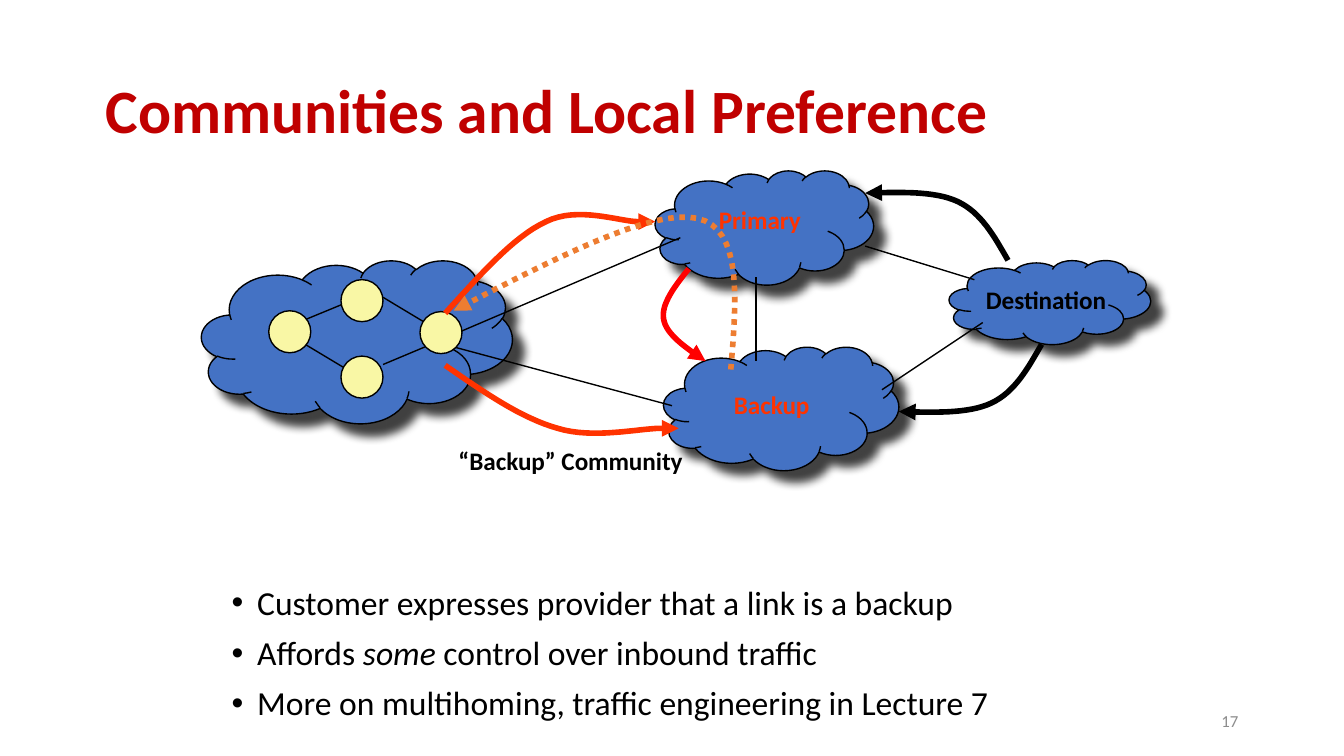
from lxml import etree
from pptx import Presentation, util as u
from pptx.dml.color import RGBColor
from pptx.enum import dml, shapes, text
from pptx.oxml import parse_xml
from pptx.oxml.ns import nsdecls, qn

prs = Presentation()
prs.slide_width, prs.slide_height = u.Inches(10), u.Inches(5.625)
COL, ROW = prs.slide_width / 160, prs.slide_height / 90
s = prs.slides.add_slide(prs.slide_layouts[6])


def grid(*cells):
    return [round(c * (ROW if i % 2 else COL)) for i, c in enumerate(cells)]


def paint(fmt, color):
    fmt.solid()
    fmt.fore_color.rgb = RGBColor.from_string(color)


LEFT, RIGHT = text.PP_ALIGN.LEFT, text.PP_ALIGN.RIGHT
TOP, MIDDLE = text.MSO_ANCHOR.TOP, text.MSO_ANCHOR.MIDDLE

for cells in [(24, 31, 37, 19.4), (78, 20.3, 26, 13.6), (79, 41.3, 28, 14.7), (113, 31, 24, 10)]:
    sp = s.shapes.add_shape(shapes.MSO_SHAPE.CLOUD, *grid(*cells))
    paint(sp.fill, "4472C4")
    paint(sp.line.fill, "000000")
    sp.line.width = u.Pt(0.75)
    sp._element.spPr.append(parse_xml(
        f'<a:effectLst {nsdecls("a")}><a:outerShdw blurRad="{u.Pt(5)}" dist="{u.Pt(8.5)}" '
        'dir="2700000" algn="ctr" rotWithShape="0"><a:srgbClr val="000000">'
        '<a:alpha val="75000"/></a:srgbClr></a:outerShdw></a:effectLst>'))

bullets = [
    ["Customer expresses provider that a link is a backup"],
    ["Affords ", "some", " control over inbound traffic"],
    ["More on multihoming, traffic engineering in Lecture 7"],
]
boxes = [
    ((11, 4.8, 138, 17.4), [["Communities and Local Preference"]], 33, "C00000", True, LEFT, MIDDLE, True),
    ((26, 69, 108, 19), bullets, 18, "000000", False, LEFT, TOP, True),
    ((113, 83.4, 36, 4.8), [["17"]], 9, "8C8C8C", False, RIGHT, MIDDLE, True),
    ((84, 23.5, 14.6, 5.3), [["Primary"]], 13.5, "FF3300", True, LEFT, TOP, False),
    ((85.8, 45.6, 14.2, 5.3), [["Backup"]], 13.5, "FF3300", True, LEFT, TOP, False),
    ((53, 52.2, 30, 9), [["“Backup” Community"]], 13.5, "000000", True, LEFT, TOP, True),
    ((115.8, 33.1, 19.7, 5.3), [["Destination"]], 13.5, "000000", True, LEFT, TOP, False),
]
for cells, paras, size, color, bold, align, anchor, wrap in boxes:
    tf = s.shapes.add_textbox(*grid(*cells)).text_frame
    tf.word_wrap, tf.vertical_anchor = wrap, anchor
    for i, runs in enumerate(paras):
        p = tf.paragraphs[0] if i == 0 else tf.add_paragraph()
        p.alignment = align
        if size >= 18:
            p.line_spacing = 0.9
        if paras is bullets:
            p.space_before = u.Pt(7.5)
            pPr = p._p.get_or_add_pPr()
            pPr.set("marL", str(u.Inches(0.19)))
            pPr.set("indent", str(-u.Inches(0.19)))
            etree.SubElement(pPr, qn("a:buFont"), typeface="Arial")
            etree.SubElement(pPr, qn("a:buChar"), char="•")
        for words in runs:
            r = p.add_run()
            r.text = words
            look = dict(name="Calibri", size=u.Pt(size), bold=bold, italic=words == "some")
            for key, value in look.items():
                setattr(r.font, key, value)
            paint(r.font.fill, color)

inner_links = [(35.5, 38.4, 40.6, 36.3), (45.6, 43.4, 50.6, 41.3),
               (36, 40.8, 41, 43.8), (45.6, 35.4, 50.6, 38.4)]
outer_links = [(55, 39.4, 81, 28.3), (54, 41.3, 80, 48.3), (103, 29.3, 116, 33.3),
               (105, 46.4, 117, 38.4), (90, 33, 90, 43)]
for cells in inner_links + outer_links:
    sp = s.shapes.add_connector(shapes.MSO_CONNECTOR.STRAIGHT, *grid(*cells))
    paint(sp.line.fill, "000000")
    sp.line.width = u.Pt(0.75)
    etree.SubElement(sp._element.spPr, qn("a:effectLst"))

for x, y in [(40.6, 33.3), (40.6, 42.4), (50, 37.1), (32, 37)]:
    sp = s.shapes.add_shape(shapes.MSO_SHAPE.OVAL, *grid(x, y, 5, 5))
    sp.shadow.inherit = False
    paint(sp.fill, "F9F7A5")
    paint(sp.line.fill, "000000")
    sp.line.width = u.Pt(0.75)

STEPS = 16
curves = [
    ("FF3300", [(53, 37.3), (57.1, 32.8), (61.1, 28.2), (65, 26.4), (68.8, 24.5),
                (73.8, 26.4), (76, 26.4), (78.2, 26.4), (78, 26.4), (78, 26.4)]),
    ("FF3300", [(53, 43.5), (57.6, 46.7), (62.1, 49.8), (66.4, 51), (70.6, 52.3),
                (76.2, 51), (78.6, 51), (81, 51), (81, 51), (80.8, 51)]),
    ("000000", [(120, 31), (118.4, 28.2), (116.8, 25.3), (114, 24), (111.2, 22.7), (107, 22.9), (103, 23)]),
    ("000000", [(124, 41), (122.4, 43.8), (120.8, 46.7), (118, 48), (115.2, 49.3), (111, 49.1), (107, 49)]),
    ("FF0000", [(82, 32), (80.3, 34.1), (78.7, 36.2), (79, 38), (79.3, 39.8), (81.6, 41.4), (84, 43)]),
    ("ED7D31", [(87, 44), (87.7, 35.6), (88.4, 27.2), (83, 26), (77.5, 24.8), (65.8, 30.9), (54, 37)]),
]
for color, knots in curves:
    points = []
    for k in range(0, len(knots) - 1, 3):
        for step in range(1, STEPS + 1):
            t = step / STEPS
            weights = [(1 - t) ** 3, 3 * t * (1 - t) ** 2, 3 * t ** 2 * (1 - t), t ** 3]
            points.append(grid(*[sum(w * q[axis] for w, q in zip(weights, knots[k:k + 4]))
                                 for axis in (0, 1)]))
    builder = s.shapes.build_freeform(*grid(*knots[0]))
    builder.add_line_segments(points, close=False)
    sp = builder.convert_to_shape()
    sp.shadow.inherit = False
    sp.fill.background()
    paint(sp.line.fill, color)
    sp.line.width = u.Pt(3)
    if color == "ED7D31":
        sp.line.dash_style = dml.MSO_LINE.ROUND_DOT
    etree.SubElement(sp.line._get_or_add_ln(), qn("a:tailEnd"), type="triangle")

prs.save("out.pptx")
